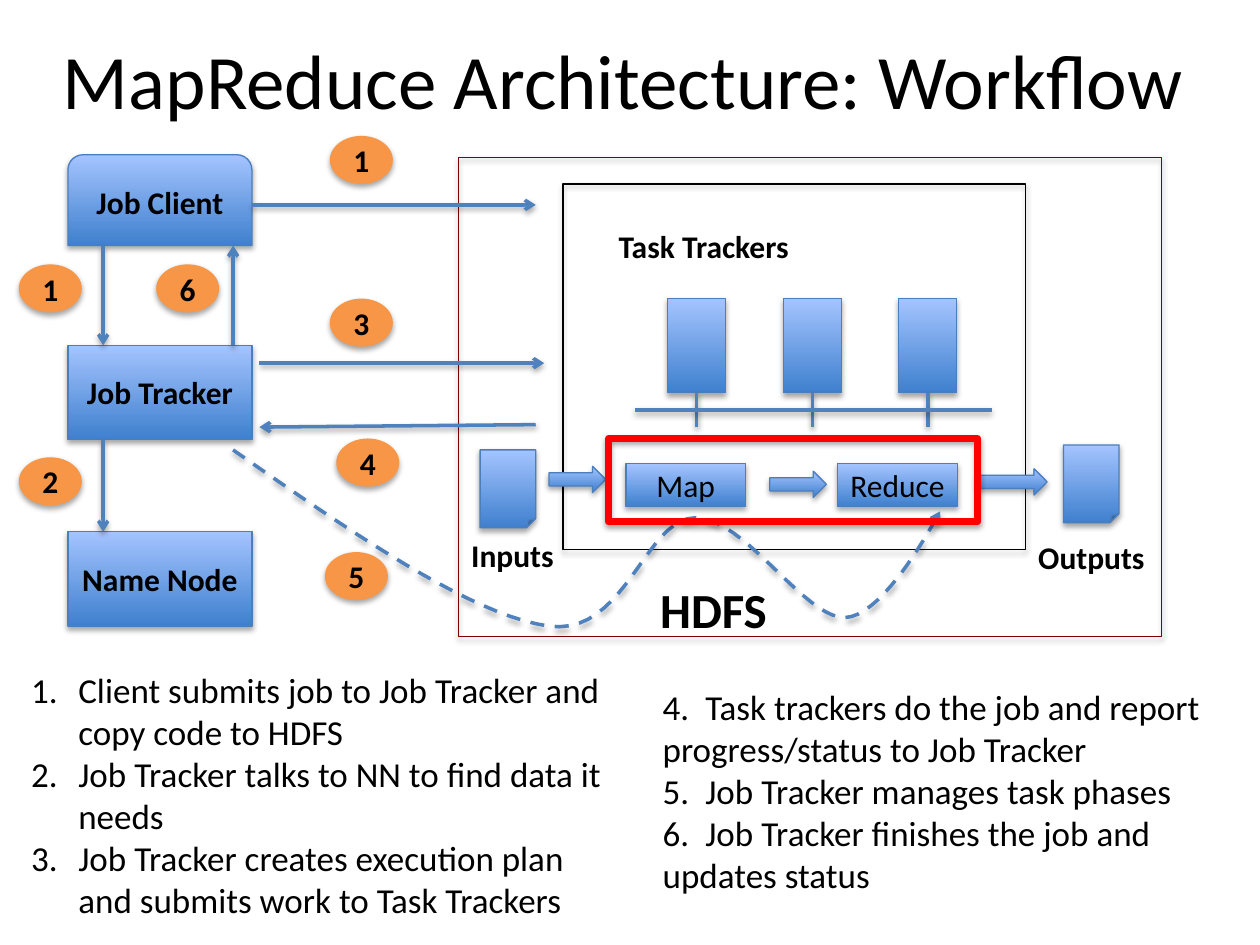
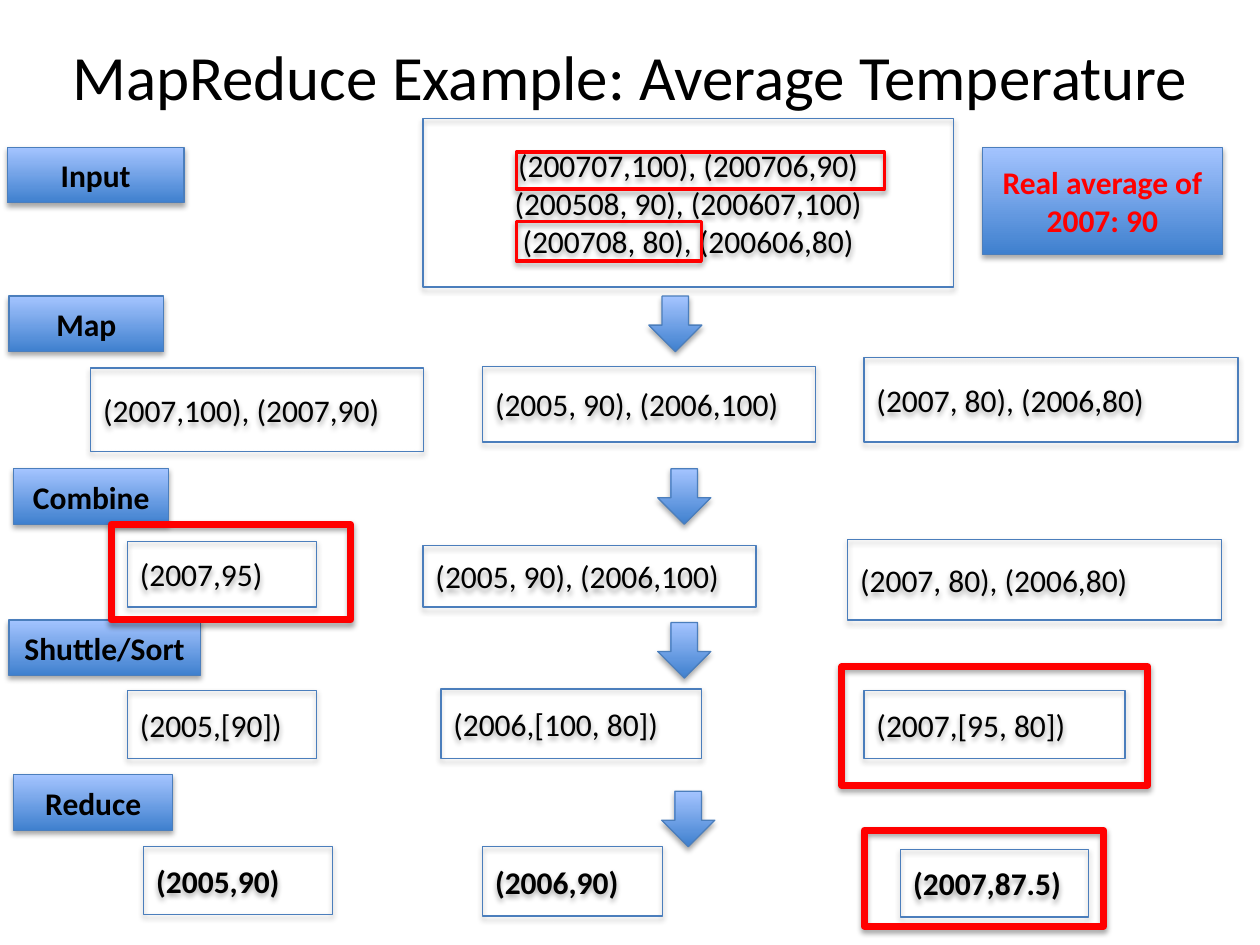
"""Build two slides on the MapReduce workflow and an average temperature example."""
from dataclasses import dataclass

from pptx import Presentation, util as u
from pptx.dml.color import RGBColor
from pptx.enum import dml, shapes, text
from pptx.oxml import parse_xml
from pptx.oxml.ns import nsdecls


@dataclass(frozen=True)
class Theme:
    font: str = "Calibri"
    black: str = "000000"
    red: str = "FF0000"
    maroon: str = "800000"
    orange: str = "F79646"
    edge: str = "4B7EBC"
    arrow: str = "4F81BD"
    gradient: tuple = ("3F80CE", "A4C4FF")
    title: int = 44
    long_title: int = 36
    caption: int = 28
    steps: int = 20
    label: int = 18
    thin: float = 0.75
    medium: float = 2
    thick: float = 4


theme = Theme()
preset = shapes.MSO_SHAPE
left, center = text.PP_ALIGN.LEFT, text.PP_ALIGN.CENTER


def stroke(shape, color, width, arrow=False):
    shape.line.color.rgb = RGBColor.from_string(color)
    shape.line.width = u.Pt(width)
    if arrow:
        shape.line._get_or_add_ln().append(
            parse_xml(f'<a:tailEnd {nsdecls("a")} type="arrow"/>'))
    shape._element.spPr.append(parse_xml(
        f'<a:effectLst {nsdecls("a")}><a:outerShdw blurRad="40000" dist="23000" dir="5400000" '
        'rotWithShape="0"><a:srgbClr val="000000"><a:alpha val="35000"/></a:srgbClr>'
        '</a:outerShdw></a:effectLst>'))


def add_box(page, kind, at, words="", fill=None, edge=theme.edge, width=theme.thin,
            size=theme.label, bold=False, color=theme.black, align=center, middle=True):
    place = [u.Cm(length) for length in at]
    if kind is None:
        box = page.shapes.add_textbox(*place)
    else:
        box = page.shapes.add_shape(kind, *place)
        if fill is None:
            box.fill.background()
        elif fill == theme.gradient:
            box.fill.gradient()
            box.fill.gradient_angle = 90
            for stop, shade in zip(box.fill.gradient_stops, fill):
                stop.color.rgb = RGBColor.from_string(shade)
            box.fill.gradient_stops[0].position = 0
            box.fill.gradient_stops[1].position = 1
        else:
            box.fill.solid()
            box.fill.fore_color.rgb = RGBColor.from_string(fill)
        stroke(box, edge, width)
        if kind == preset.OVAL:
            box.line.fill.background()
    frame = box.text_frame
    frame.word_wrap = True
    frame.vertical_anchor = text.MSO_ANCHOR.MIDDLE if middle else text.MSO_ANCHOR.TOP
    frame.text = words
    for para in frame.paragraphs:
        para.alignment = align
        for span in para.runs:
            span.font.name = theme.font
            span.font.size = u.Pt(size)
            span.font.bold = bold
            span.font.color.rgb = RGBColor.from_string(color)
    return box


deck = Presentation()
deck.slide_width, deck.slide_height = u.Cm(25.4), u.Cm(19.05)
workflow, example = [deck.slides.add_slide(deck.slide_layouts[6]) for _ in range(2)]

add_box(workflow, None, (0.38, 0, 24.38, 3.18), "MapReduce Architecture: Workflow",
        size=theme.title)
add_box(workflow, preset.RECTANGLE, (9.25, 3.18, 14.17, 9.65), edge=theme.maroon)
add_box(workflow, preset.RECTANGLE, (11.35, 3.71, 9.32, 7.37), edge=theme.black)

for kind, top, height, name in (
    (preset.ROUND_2_SAME_RECTANGLE, 3.12, 1.83, "Job Client"),
    (preset.RECTANGLE, 6.96, 1.9, "Job Tracker"),
    (preset.RECTANGLE, 10.72, 1.9, "Name Node"),
):
    add_box(workflow, kind, (1.37, top, 3.71, height), name, theme.gradient, bold=True)

straight = shapes.MSO_CONNECTOR.STRAIGHT
for index in range(3):
    x = 13.46 + 2.33 * index
    node = add_box(workflow, preset.RECTANGLE, (x, 6.02, 1.17, 1.9), fill=theme.gradient)
    middle = node.left + node.width // 2
    stub = workflow.shapes.add_connector(straight, middle, u.Cm(7.92), middle, u.Cm(8.6))
    stub.begin_connect(node, 2)
    stroke(stub, theme.arrow, theme.medium)

for x, name in ((12.62, "Map"), (16.89, "Reduce")):
    add_box(workflow, preset.RECTANGLE, (x, 9.35, 2.41, 0.86), name, theme.gradient)
for x, y in ((9.68, 9.07), (21.44, 8.97)):
    add_box(workflow, preset.FOLDED_CORNER, (x, y, 1.12, 1.57), fill=theme.gradient)
for x, y, width in ((11.07, 9.4, 1.14), (15.52, 9.5, 1.14), (19.71, 9.45, 1.4)):
    add_box(workflow, preset.RIGHT_ARROW, (x, y, width, 0.53), fill=theme.gradient)
for at, caption, size in (
    ((12.22, 4.45, 4.83, 0.89), "Task Trackers", theme.label),
    ((9.25, 10.69, 2.41, 0.89), "Inputs", theme.label),
    ((20.68, 10.72, 3.07, 1.02), "Outputs", theme.label),
    ((13.06, 11.56, 4.83, 1.27), "HDFS", theme.caption),
):
    add_box(workflow, None, at, caption, size=size, bold=True, align=left, middle=False)

for ends, arrow in (
    ((12.8, 8.26, 19.99, 8.26), False),
    ((2.08, 4.95, 2.08, 6.96), True),
    ((5.08, 4.13, 10.8, 4.13), True),
    ((2.08, 8.86, 2.08, 10.72), True),
    ((5.23, 7.32, 10.97, 7.32), True),
    ((10.8, 8.56, 5.23, 8.61), True),
    ((4.7, 6.96, 4.7, 4.95), True),
):
    link = workflow.shapes.add_connector(straight, *[u.Cm(end) for end in ends])
    stroke(link, theme.arrow, theme.medium, arrow)

curve_start = (4.7, 9.07)
curves = (
    ((7.09, 10.74), (9.5, 12.4), (11.05, 12.62)),
    ((12.6, 12.85), (13, 10.46), (14, 10.44)),
    ((15.01, 10.41), (16.21, 12.47), (17.04, 12.45)),
    ((17.86, 12.42), (18.95, 10.31), (18.95, 10.31)),
)
points, origin, steps = [], curve_start, 20
for first, second, goal in curves:
    for step in range(1, steps + 1):
        t = step / steps
        points.append([
            u.Cm((1 - t) ** 3 * a + 3 * (1 - t) ** 2 * t * b + 3 * (1 - t) * t ** 2 * c + t ** 3 * d)
            for a, b, c, d in zip(origin, first, second, goal)])
    origin = goal
outline = workflow.shapes.build_freeform(*[u.Cm(value) for value in curve_start])
outline.add_line_segments(points, close=False)
phases = outline.convert_to_shape()
phases.fill.background()
phases.line.dash_style = dml.MSO_LINE.DASH
stroke(phases, theme.arrow, theme.medium, arrow=True)

for x, y, number in (
    (0.38, 5.33, "1"), (6.65, 2.74, "1"), (0.38, 9.22, "2"), (6.65, 6.02, "3"),
    (6.78, 8.84, "4"), (6.55, 11.13, "5"), (3.15, 5.33, "6"),
):
    add_box(workflow, preset.OVAL, (x, y, 1.27, 0.97), number, theme.orange, bold=True)
add_box(workflow, preset.RECTANGLE, (12.27, 8.84, 7.44, 1.68), edge=theme.red, width=theme.thick)

first_steps = add_box(
    workflow, None, (0.38, 13.36, 12.24, 5.38),
    "Client submits job to Job Tracker and copy code to HDFS\n"
    "Job Tracker talks to NN to find data it needs\n"
    "Job Tracker creates execution plan and submits work to Task Trackers",
    size=theme.steps, align=left, middle=False)
for para in first_steps.text_frame.paragraphs:
    layout = para._p.get_or_add_pPr()
    layout.set("marL", str(u.Cm(0.95)))
    layout.set("indent", str(-u.Cm(0.95)))
    layout.append(parse_xml(f'<a:buAutoNum {nsdecls("a")} type="arabicPeriod"/>'))

last_steps = add_box(
    workflow, None, (13.11, 13.69, 11.96, 4.52),
    "4.\tTask trackers do the job and report progress/status to Job Tracker\n"
    "5.\tJob Tracker manages task phases\n"
    "6.\tJob Tracker finishes the job and updates status",
    size=theme.steps, align=left, middle=False)
for para in last_steps.text_frame.paragraphs:
    para._p.get_or_add_pPr().append(parse_xml(
        f'<a:tabLst {nsdecls("a")}><a:tab pos="{u.Cm(0.86)}" algn="l"/></a:tabLst>'))

add_box(example, None, (0.46, -0.08, 24.49, 3.18), "MapReduce Example: Average Temperature",
        size=theme.long_title)
for x, y, width, stage in (
    (0.15, 2.97, 3.56, "Input"),
    (0.18, 5.97, 3.12, "Map"),
    (0.28, 9.45, 3.12, "Combine"),
    (0.18, 12.5, 3.86, "Shuttle/Sort"),
    (0.28, 15.62, 3.2, "Reduce"),
):
    add_box(example, preset.RECTANGLE, (x, y, width, 1.12), stage, theme.gradient, bold=True)

add_box(example, preset.RECTANGLE, (8.53, 2.39, 10.69, 3.4),
        "(200707,100), (200706,90)\n(200508, 90), (200607,100)\n(200708, 80), (200606,80)")
for at, pairs, bold in (
    ((1.83, 7.42, 6.71, 1.68), "(2007,100), (2007,90)", False),
    ((9.73, 7.39, 6.71, 1.52), "(2005, 90), (2006,100)", False),
    ((17.42, 7.21, 7.54, 1.7), "(2007, 80), (2006,80)", False),
    ((2.57, 10.92, 3.81, 1.32), "(2007,95)", False),
    ((8.53, 11, 6.71, 1.24), "(2005, 90), (2006,100)", False),
    ((17.09, 10.87, 7.54, 1.63), "(2007, 80), (2006,80)", False),
    ((2.57, 13.92, 3.81, 1.37), "(2005,[90])", False),
    ((8.89, 13.89, 5.26, 1.4), "(2006,[100, 80])", False),
    ((17.42, 13.92, 5.26, 1.37), "(2007,[95, 80])", False),
    ((2.9, 17.07, 3.81, 1.37), "(2005,90)", True),
    ((9.73, 17.07, 3.63, 1.4), "(2006,90)", True),
    ((18.16, 17.12, 3.78, 1.37), "(2007,87.5)", True),
):
    add_box(example, preset.RECTANGLE, at, pairs, bold=bold, align=left)

for x, y in ((13.08, 5.97), (13.26, 9.45), (13.26, 12.55), (13.34, 15.95)):
    add_box(example, preset.DOWN_ARROW, (x, y, 1.07, 1.12), fill=theme.gradient)
for at, width in (
    ((2.24, 10.57, 4.83, 1.93), theme.thick),
    ((17.42, 16.74, 4.83, 1.93), theme.thick),
    ((16.97, 13.44, 6.17, 2.39), theme.thick),
    ((10.41, 4.47, 3.73, 0.79), theme.medium),
    ((10.41, 3.07, 7.42, 0.74), theme.medium),
):
    add_box(example, preset.RECTANGLE, at, edge=theme.red, width=width)
add_box(example, preset.RECTANGLE, (19.81, 2.97, 4.83, 2.16), "Real average of 2007: 90",
        theme.gradient, bold=True, color=theme.red)

deck.save("out.pptx")
